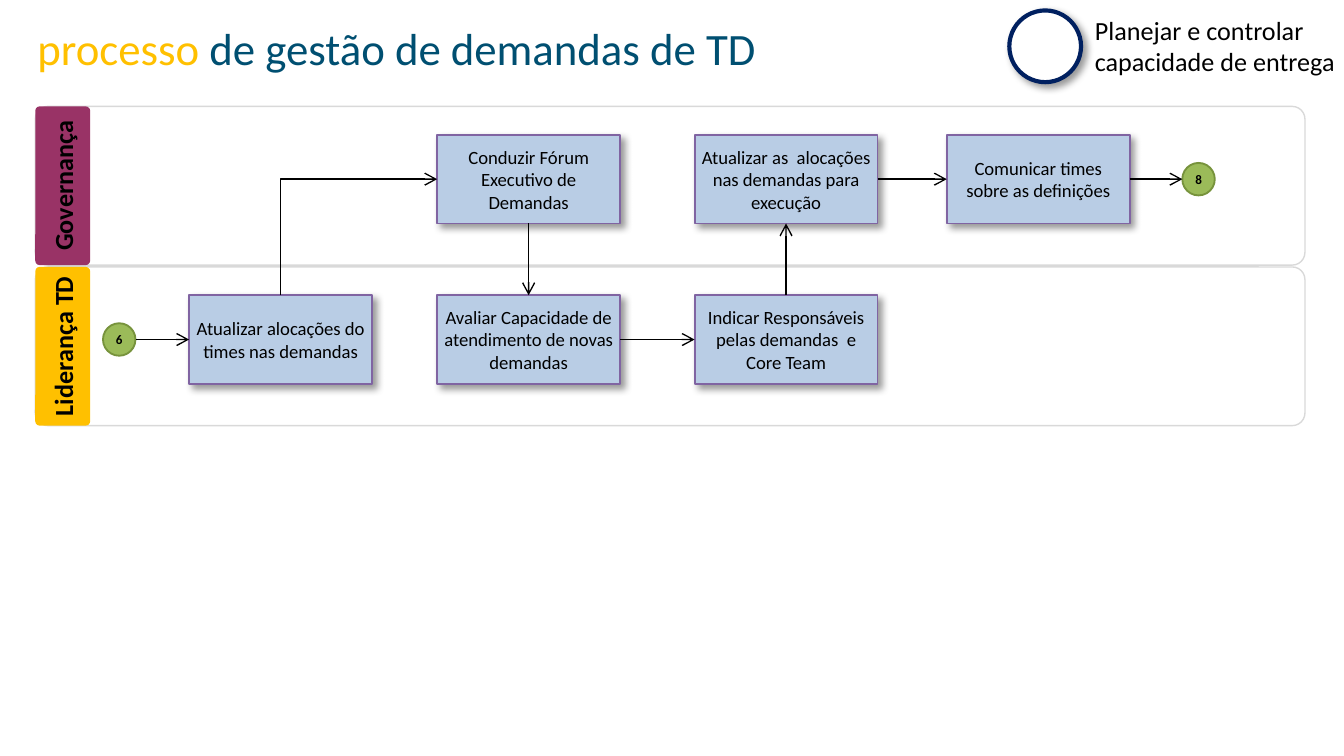
"""Build the TD demand management process slide with two swimlanes."""
from lxml import etree
from pptx import Presentation
from pptx.dml.color import RGBColor
from pptx.enum.shapes import MSO_CONNECTOR, MSO_SHAPE
from pptx.enum.text import MSO_ANCHOR, MSO_AUTO_SIZE, PP_ALIGN
from pptx.oxml import parse_xml
from pptx.oxml.ns import qn
from pptx.util import Pt

RECTANGLE, ROUNDED, OVAL = MSO_SHAPE.RECTANGLE, MSO_SHAPE.ROUNDED_RECTANGLE, MSO_SHAPE.OVAL
STRAIGHT, ELBOW = MSO_CONNECTOR.STRAIGHT, MSO_CONNECTOR.ELBOW
LEFT, CENTER = PP_ALIGN.LEFT, PP_ALIGN.CENTER
TOP, MIDDLE = MSO_ANCHOR.TOP, MSO_ANCHOR.MIDDLE
FIT_SHAPE = MSO_AUTO_SIZE.SHAPE_TO_FIT_TEXT
FONT = "Calibri"
DRAWING = "http://schemas.openxmlformats.org/drawingml/2006/main"

TITLE = [("processo ", "FFC000"), ("de gestão de demandas de TD", "004F71")]
STAGE = ["Planejar e controlar", "capacidade de entrega"]
LANES = [("Governança", "993366"), ("Liderança TD", "FFC000")]
STEPS = {
    "update": (0, 1, "Atualizar alocações do times nas demandas"),
    "forum": (1, 0, "Conduzir Fórum Executivo de Demandas"),
    "assess": (1, 1, "Avaliar Capacidade de atendimento de novas demandas"),
    "assign": (2, 1, "Indicar Responsáveis pelas demandas  e Core Team"),
    "allocate": (2, 0, "Atualizar as  alocações nas demandas para execução"),
    "inform": (3, 0, "Comunicar times sobre as definições"),
}
LINKS = {"start": (55.2, 1, "6"), "end": (633.4, 0, "8")}
FLOWS = [
    ("start", "right", "update", "left"),
    ("update", "top", "forum", "left"),
    ("forum", "bottom", "assess", "top"),
    ("assess", "right", "assign", "left"),
    ("assign", "top", "allocate", "bottom"),
    ("allocate", "right", "inform", "left"),
    ("inform", "right", "end", "left"),
]
SIDES = {"top": (0, 0.5, 0), "left": (1, 0, 0.5), "bottom": (2, 0.5, 1), "right": (3, 1, 0.5)}

LANE_LEFT, LANE_TOP, LANE_WIDTH, LANE_HEIGHT, LANE_PITCH = 18.9, 57, 680.2, 85, 86
HEADER_WIDTH = 29.4
COLUMNS = [101.3, 234.2, 372.1, 507.2]
STEP_WIDTH, STEP_HEIGHT, LINK_SIZE = 98, 47.5, 17.4
ROW_CENTERS = [96, 181.9]


def color(value):
    return RGBColor.from_string(value)


def set_margins(frame, horizontal, vertical):
    frame.margin_left = frame.margin_right = Pt(horizontal)
    frame.margin_top = frame.margin_bottom = Pt(vertical)


def write(frame, lines, size, bold=False, align=CENTER, anchor=MIDDLE, wrap=True):
    frame.word_wrap = wrap
    frame.vertical_anchor = anchor
    for index, line in enumerate(lines):
        paragraph = frame.add_paragraph() if index else frame.paragraphs[0]
        paragraph.text = line
        paragraph.alignment = align
        paragraph.font.name = FONT
        paragraph.font.size = Pt(size)
        paragraph.font.bold = bold
        paragraph.font.color.rgb = color("000000")


def add_shape(slide, kind, left, top, width, height, fill, line=None, weight=1):
    shape = slide.shapes.add_shape(kind, Pt(left), Pt(top), Pt(width), Pt(height))
    shape.shadow.inherit = False
    shape.fill.solid()
    shape.fill.fore_color.rgb = color(fill)
    if line:
        shape.line.color.rgb = color(line)
        shape.line.width = Pt(weight)
    else:
        shape.line.fill.background()
    if kind == ROUNDED:
        shape.adjustments[0] = 0.08
    return shape


def add_shadow(shape):
    effects = shape._element.spPr.find(qn("a:effectLst"))
    effects.append(parse_xml(
        f'<a:outerShdw xmlns:a="{DRAWING}" blurRad="{Pt(4)}" dist="{Pt(3)}" '
        'dir="2700000" algn="tl" rotWithShape="0"><a:srgbClr val="000000">'
        '<a:alpha val="40000"/></a:srgbClr></a:outerShdw>'))


def add_lane(slide, index, label, fill):
    top = LANE_TOP + index * LANE_PITCH
    add_shape(slide, ROUNDED, LANE_LEFT, top, LANE_WIDTH, LANE_HEIGHT, "FFFFFF", "D9D9D9", 0.75)
    header = add_shape(slide, ROUNDED, LANE_LEFT, top, HEADER_WIDTH, LANE_HEIGHT, fill)
    header.text_frame._txBody.bodyPr.set("vert", "vert270")
    set_margins(header.text_frame, 0, 0)
    write(header.text_frame, [label], 14, bold=True, wrap=False)


def add_step(slide, column, row, label):
    top = ROW_CENTERS[row] - STEP_HEIGHT / 2
    step = add_shape(slide, RECTANGLE, COLUMNS[column], top, STEP_WIDTH, STEP_HEIGHT,
                     "B9CDE5", "8064A2")
    add_shadow(step)
    set_margins(step.text_frame, 2.9, 2.9)
    write(step.text_frame, [label], 10)
    return step


def add_link(slide, left, row, label):
    top = ROW_CENTERS[row] - LINK_SIZE / 2
    link = add_shape(slide, OVAL, left, top, LINK_SIZE, LINK_SIZE, "9BBB59", "77933C")
    set_margins(link.text_frame, 0, 0)
    write(link.text_frame, [label], 7, bold=True)
    return link


def side_point(shape, side):
    _, across, down = SIDES[side]
    return int(shape.left + shape.width * across), int(shape.top + shape.height * down)


def add_flow(slide, source, source_side, target, target_side):
    start_x, start_y = side_point(source, source_side)
    end_x, end_y = side_point(target, target_side)
    turns = source_side == "top" and target_side == "left"
    if turns:
        middle_x, middle_y = (start_x + end_x) // 2, (start_y + end_y) // 2
        half_width, half_height = (start_y - end_y) // 2, (end_x - start_x) // 2
        connector = slide.shapes.add_connector(
            ELBOW, middle_x + half_width, middle_y + half_height,
            middle_x - half_width, middle_y - half_height)
        properties = connector._element.spPr
        properties.find(qn("a:xfrm")).set("rot", "5400000")
        properties.find(qn("a:prstGeom")).set("prst", "bentConnector2")
    else:
        connector = slide.shapes.add_connector(STRAIGHT, start_x, start_y, end_x, end_y)
        if OVAL not in (source.auto_shape_type, target.auto_shape_type):
            connector.begin_connect(source, SIDES[source_side][0])
            connector.end_connect(target, SIDES[target_side][0])
    connector.line.color.rgb = color("000000")
    connector.line.width = Pt(0.75)
    etree.SubElement(connector.line._get_or_add_ln(), qn("a:tailEnd"), type="arrow")
    etree.SubElement(connector._element.spPr, qn("a:effectLst"))


def add_title(slide):
    title = slide.shapes.title
    title.left, title.top, title.width, title.height = Pt(12.8), Pt(7.6), Pt(520), Pt(36)
    frame = title.text_frame
    frame.word_wrap = True
    frame.auto_size = FIT_SHAPE
    frame.vertical_anchor = TOP
    set_margins(frame, 7.2, 3.6)
    paragraph = frame.paragraphs[0]
    paragraph.alignment = LEFT
    paragraph.font.name = FONT
    paragraph.font.size = Pt(24)
    for text, tint in TITLE:
        run = paragraph.add_run()
        run.text = text
        run.font.color.rgb = color(tint)


def add_stage(slide):
    box = slide.shapes.add_textbox(Pt(579.4), Pt(4), Pt(140), Pt(41.8))
    write(box.text_frame, STAGE, 14, align=LEFT, anchor=TOP, wrap=False)
    box.text_frame.margin_right = 0
    add_shadow(add_shape(slide, OVAL, 540.7, 5.6, 38.4, 38.4, "FFFFFF", "002060", 2.25))


def main():
    presentation = Presentation()
    presentation.slide_width, presentation.slide_height = Pt(720), Pt(405)
    slide = presentation.slides.add_slide(presentation.slide_layouts[5])
    add_title(slide)
    for index, (label, fill) in enumerate(LANES):
        add_lane(slide, index, label, fill)
    nodes = {name: add_step(slide, *step) for name, step in STEPS.items()}
    nodes.update({name: add_link(slide, *link) for name, link in LINKS.items()})
    for source, source_side, target, target_side in FLOWS:
        add_flow(slide, nodes[source], source_side, nodes[target], target_side)
    add_stage(slide)
    presentation.save("out.pptx")


if __name__ == "__main__":
    main()
